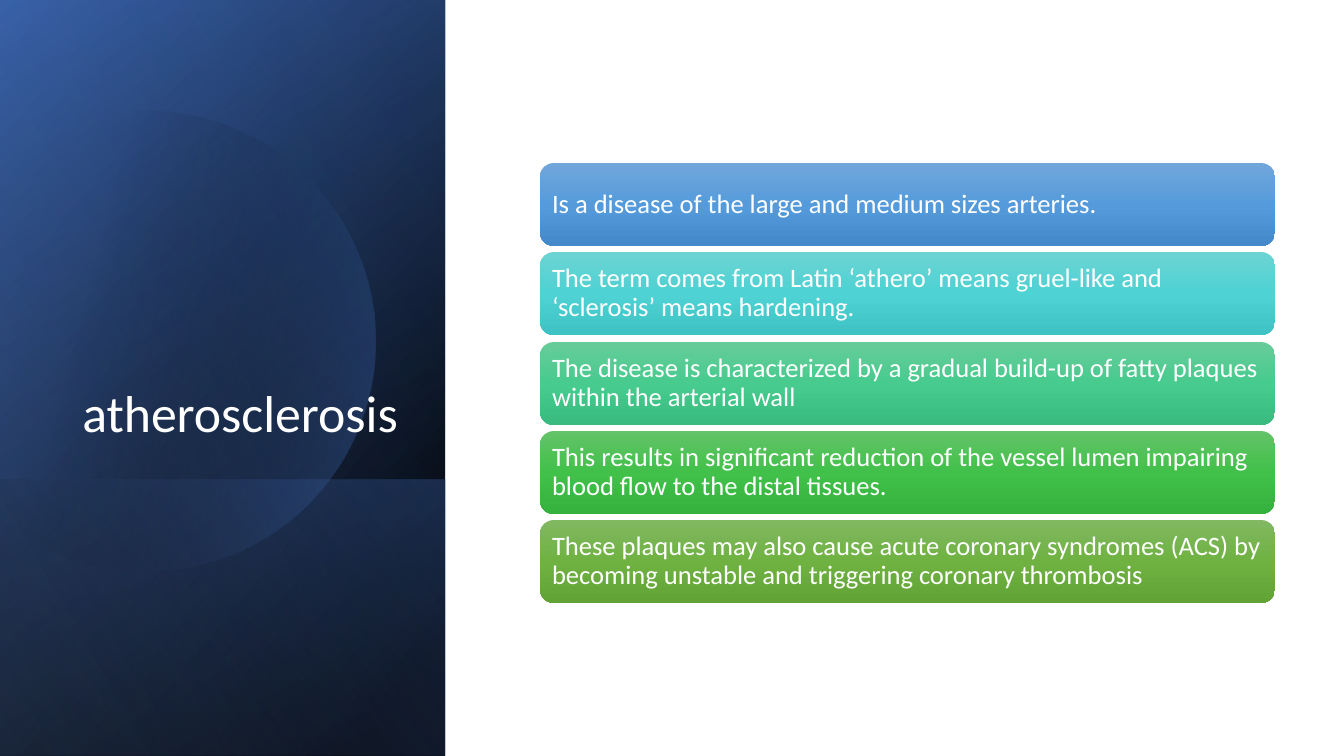
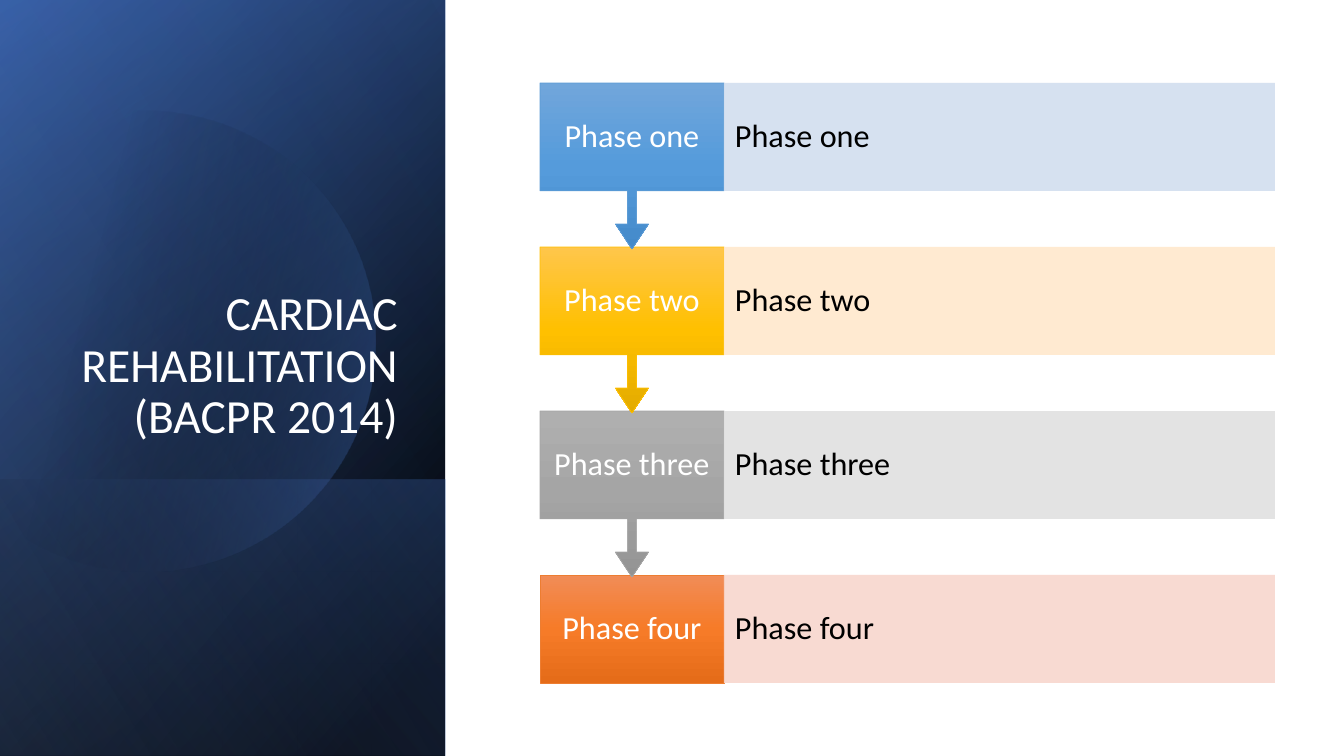
from dataclasses import dataclass
from math import acos, cos, sin
from typing import NamedTuple

from lxml.etree import SubElement
from pptx import Presentation
from pptx.dml.color import RGBColor
from pptx.enum.shapes import MSO_SHAPE as Preset
from pptx.enum.text import MSO_ANCHOR as Anchor, PP_ALIGN as Align
from pptx.oxml.ns import qn
from pptx.shapes.autoshape import Shape
from pptx.slide import Slide
from pptx.util import Pt

SLIDE_W, SLIDE_H = 1344, 756
EMU_PER_PX = 12192000 / SLIDE_W
FONT = "Calibri"
PANEL_W = 445
CONTENT_LEFT, CONTENT_W = 540, 735

COLORS = {
    "white": "FFFFFF", "black": "000000",
    "navy": "2F5597", "blue": "4472C4", "pale_blue": "8FAADC",
}


class Stop(NamedTuple):
    position: int
    color: str
    opacity: int = 100


class Box(NamedTuple):
    left: int
    top: int
    width: int
    height: int


class Layer(NamedTuple):
    box: Box
    stops: tuple[Stop, ...]
    angle: int


@dataclass(frozen=True)
class Statement:
    text: str
    shades: tuple[str, str, str]


@dataclass(frozen=True)
class Phase:
    name: str
    shades: tuple[str, str, str]
    outline: str
    tint: str


@dataclass(frozen=True)
class TextStyle:
    size: int
    color: str
    align: Align
    margin: int


WHOLE_PANEL = Box(0, 0, PANEL_W, SLIDE_H)
PANEL_BASE = (
    Layer(WHOLE_PANEL, (Stop(8, COLORS["black"]), Stop(100, COLORS["navy"])), 220),
    Layer(WHOLE_PANEL, (Stop(0, COLORS["black"], 0), Stop(99, COLORS["blue"], 46)), 240),
    Layer(Box(0, 480, PANEL_W, 276),
          (Stop(2, COLORS["blue"], 29), Stop(100, COLORS["black"], 30)), 140),
)
PANEL_DISC = (Stop(29, COLORS["black"], 0), Stop(100, COLORS["blue"], 43))
PANEL_SHEEN = Layer(
    WHOLE_PANEL, (Stop(0, COLORS["black"], 0), Stop(99, COLORS["pale_blue"], 11)), 150)

STATEMENT_STYLE = TextStyle(19, COLORS["white"], Align.LEFT, 8)
LABEL_STYLE = TextStyle(23, COLORS["white"], Align.CENTER, 10)
DETAIL_STYLE = TextStyle(23, COLORS["black"], Align.LEFT, 11)

STATEMENTS = (
    Statement("Is a disease of the large and medium sizes arteries.",
              ("71A6DB", "559BDB", "448ACA")),
    Statement("The term comes from Latin ‘athero’ means gruel-like and "
              "‘sclerosis’ means hardening.",
              ("6CD3D3", "4ED2D3", "3EC2C3")),
    Statement("The disease is characterized by a gradual build-up of fatty plaques "
              "within the arterial wall",
              ("67CC9A", "47CB8E", "39BB7F")),
    Statement("This results in significant reduction of the vessel lumen impairing "
              "blood flow to the distal tissues.",
              ("63C368", "42C14A", "34B23D")),
    Statement("These plaques may also cause acute coronary syndromes (ACS) "
              "by becoming unstable and triggering coronary thrombosis",
              ("81B861", "6FB242", "62A336")),
)
PHASES = (
    Phase("Phase one", ("71A6DB", "559BDB", "448ACA"), "5B9BD5", "D2DEEF"),
    Phase("Phase two", ("FFC64B", "FFC000", "E3AB00"), "FFC000", "FFE8CC"),
    Phase("Phase three", ("AFAFAF", "A5A5A5", "939393"), "A5A5A5", "E1E1E1"),
    Phase("Phase four", ("F18C57", "F67B28", "E56C19"), "ED7D31", "F8D7CE"),
)


def px(length: float) -> int:
    return round(length * EMU_PER_PX)


def rgb(color: str) -> RGBColor:
    return RGBColor.from_string(color)


def add_preset(slide: Slide, preset: Preset, box: Box) -> Shape:
    shape = slide.shapes.add_shape(preset, *map(px, box))
    shape.shadow.inherit = False
    shape.line.fill.background()
    return shape


def set_opacity(color_element, opacity: int) -> None:
    SubElement(color_element, qn("a:alpha")).set("val", str(opacity * 1000))


def fill_gradient(shape: Shape, stops: tuple[Stop, ...], angle: int) -> None:
    shape.fill.gradient()
    shape.fill.gradient_angle = 360 - angle
    stop_list = next(shape.element.spPr.iter(qn("a:gsLst")))
    for default in list(stop_list):
        stop_list.remove(default)
    for stop in stops:
        entry = SubElement(stop_list, qn("a:gs"))
        entry.set("pos", str(stop.position * 1000))
        color = SubElement(entry, qn("a:srgbClr"))
        color.set("val", stop.color)
        if stop.opacity < 100:
            set_opacity(color, stop.opacity)


def fill_shades(shape: Shape, shades: tuple[str, str, str]) -> None:
    fill_gradient(shape, tuple(map(Stop, (0, 50, 100), shades)), 90)


def write(shape: Shape, text: str, style: TextStyle) -> None:
    frame = shape.text_frame
    frame.word_wrap = True
    frame.vertical_anchor = Anchor.MIDDLE
    frame.margin_left = frame.margin_right = px(style.margin)
    frame.margin_top = frame.margin_bottom = px(8)
    paragraph = frame.paragraphs[0]
    paragraph.text = text
    paragraph.alignment = style.align
    paragraph.line_spacing = 0.9
    paragraph.font.name, paragraph.font.size = FONT, Pt(style.size)
    paragraph.font.color.rgb = rgb(style.color)


# Shared side panel and title

def add_layer(slide: Slide, layer: Layer) -> None:
    fill_gradient(add_preset(slide, Preset.RECTANGLE, layer.box), layer.stops, layer.angle)


def add_disc(slide: Slide) -> None:
    """Draw the circle that is cut off just past the slide's left edge."""
    center_x, center_y, radius, cut_x, steps = 145, 341, 230, -15, 120
    reach = acos((cut_x - center_x) / radius)
    angles = [reach * (2 * step / steps - 1) for step in range(steps + 1)]
    outline = [(px(center_x + radius * cos(a)), px(center_y + radius * sin(a)))
               for a in angles]
    builder = slide.shapes.build_freeform(*outline[0])
    builder.add_line_segments(outline[1:], close=True)
    disc = builder.convert_to_shape()
    disc.shadow.inherit = False
    disc.line.fill.background()
    fill_gradient(disc, PANEL_DISC, 14)


def add_title(slide: Slide, lines: tuple[str, ...], size: int) -> None:
    title = slide.shapes.title
    title.left, title.top, title.width, title.height = map(px, Box(64, 185, 344, 264))
    # Bring the title in front of the panel
    title.element.getparent().append(title.element)
    frame = title.text_frame
    frame.word_wrap = True
    frame.vertical_anchor = Anchor.BOTTOM
    paragraph = frame.paragraphs[0]
    for number, line in enumerate(lines):
        if number:
            paragraph.add_line_break()
        paragraph.add_run().text = line
    paragraph.alignment = Align.RIGHT
    paragraph.line_spacing = 0.9
    paragraph.font.name, paragraph.font.size = FONT, Pt(size)
    paragraph.font.color.rgb = rgb(COLORS["white"])


def add_panel_slide(deck: Presentation, title_lines: tuple[str, ...], size: int) -> Slide:
    slide = deck.slides.add_slide(deck.slide_layouts[5])
    for layer in PANEL_BASE:
        add_layer(slide, layer)
    add_disc(slide)
    add_layer(slide, PANEL_SHEEN)
    add_title(slide, title_lines, size)
    return slide


# Slide contents

def add_statements(slide: Slide) -> None:
    first_top, last_top = 163, 520
    pitch = (last_top - first_top) / (len(STATEMENTS) - 1)
    for row, statement in enumerate(STATEMENTS):
        box = Box(CONTENT_LEFT, round(first_top + row * pitch), CONTENT_W, 83)
        bar = add_preset(slide, Preset.ROUNDED_RECTANGLE, box)
        fill_shades(bar, statement.shades)
        write(bar, statement.text, STATEMENT_STYLE)


def add_phases(slide: Slide) -> None:
    first_top, pitch, row_h, callout_h, label_w = 83, 164, 108, 166, 184
    last_row = len(PHASES) - 1
    # From the bottom up, so each arrow tip lies over the next phase
    for row, phase in reversed(list(enumerate(PHASES))):
        top = first_top + row * pitch
        if row == last_row:
            label = add_preset(slide, Preset.RECTANGLE,
                               Box(CONTENT_LEFT, top, label_w, row_h))
        else:
            label = add_preset(slide, Preset.DOWN_ARROW_CALLOUT,
                               Box(CONTENT_LEFT, top, label_w, callout_h))
            for index, value in enumerate((0.05, 0.1, 0.15, 0.65)):
                label.adjustments[index] = value
        fill_shades(label, phase.shades)
        label.line.color.rgb = rgb(phase.outline)
        label.line.width = Pt(0.5)
        write(label, phase.name, LABEL_STYLE)

        detail = add_preset(slide, Preset.RECTANGLE, Box(
            CONTENT_LEFT + label_w, top, CONTENT_W - label_w, row_h))
        detail.fill.solid()
        detail.fill.fore_color.rgb = rgb(phase.tint)
        set_opacity(next(detail.element.spPr.iter(qn("a:srgbClr"))), 90)
        write(detail, phase.name, DETAIL_STYLE)


def main() -> None:
    deck = Presentation()
    deck.slide_width, deck.slide_height = px(SLIDE_W), px(SLIDE_H)
    add_statements(add_panel_slide(deck, ("atherosclerosis",), 37))
    add_phases(add_panel_slide(deck, ("CARDIAC REHABILITATION", "(BACPR 2014)"), 34))
    deck.save("out.pptx")


if __name__ == "__main__":
    main()
